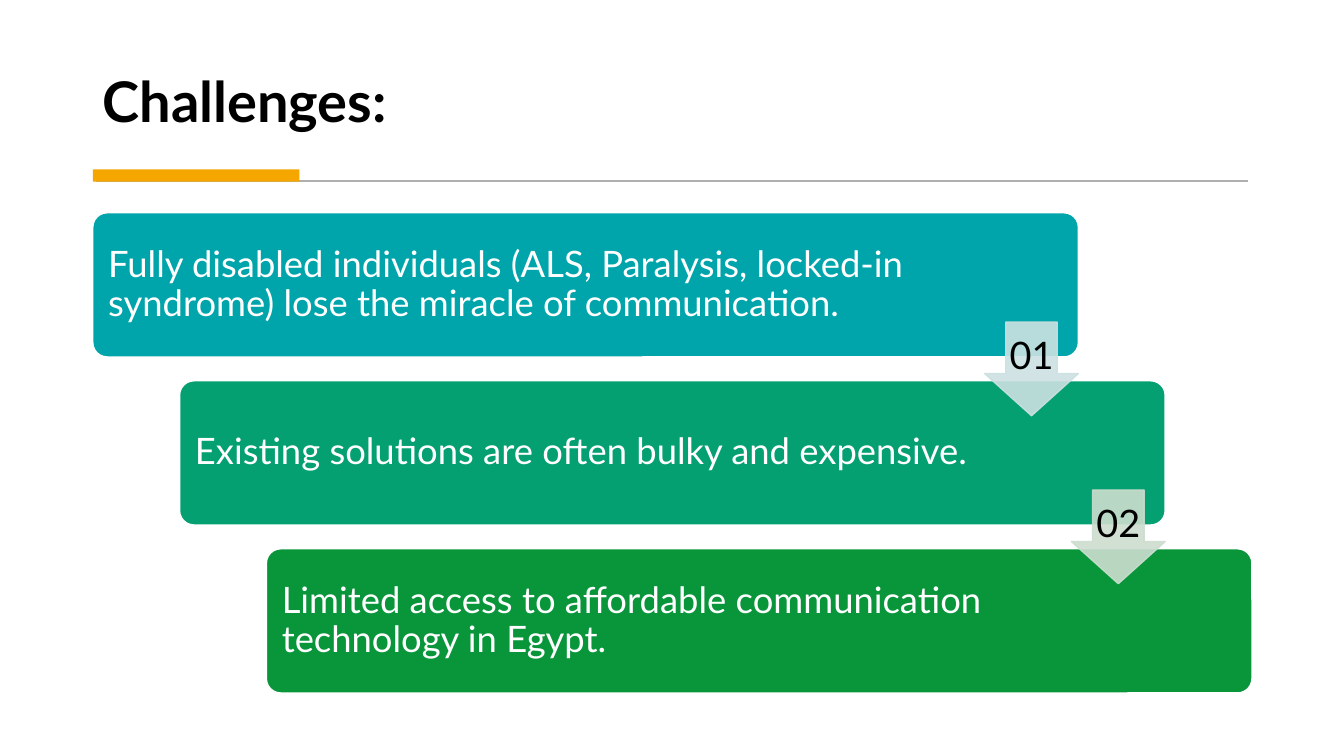
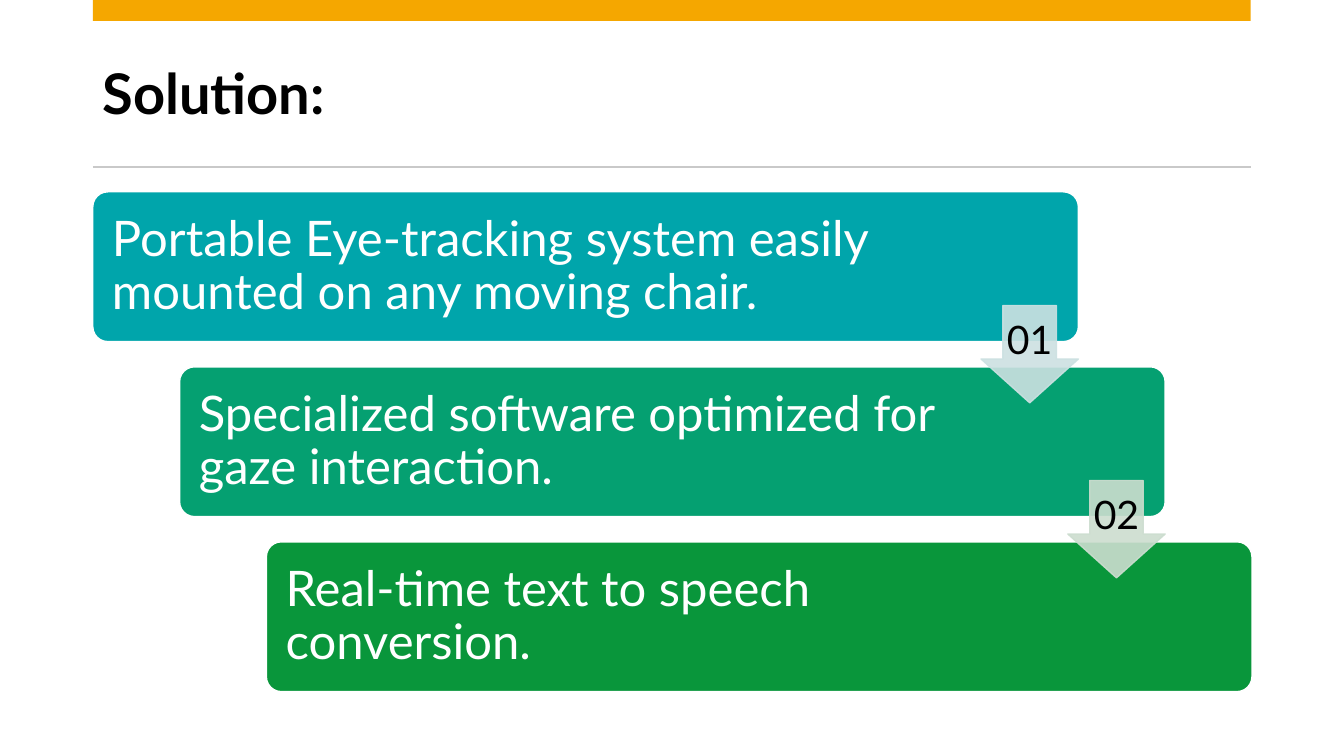
import pptx
import pptx.util
import pptx.dml.color
import pptx.enum.shapes
import pptx.enum.text
import pptx.oxml.ns
import lxml.etree

Pt = pptx.util.Pt
Kind = pptx.enum.shapes.MSO_SHAPE
Align = pptx.enum.text.PP_ALIGN
Anchor = pptx.enum.text.MSO_ANCHOR
qn = pptx.oxml.ns.qn


class Theme:
    font = "Lato"
    black = "000000"
    white = "FFFFFF"
    accent = "F5A700"
    cards = ("00A5AB", "05A071", "09963B")
    arrows = ("CCE1E2", "CCDDCF")
    title_size = 40
    left = 66.3
    width = 827
    card_width = 704
    step = 62


def write(frame, text, size=26, color=Theme.white, bold=False,
          align=Align.LEFT, anchor=Anchor.MIDDLE, insets=(7.2, 3.6, 7.2, 3.6)):
    frame.word_wrap = True
    frame.vertical_anchor = anchor
    (frame.margin_left, frame.margin_top,
     frame.margin_right, frame.margin_bottom) = map(Pt, insets)
    para = frame.paragraphs[0]
    para.alignment = align
    para.line_spacing = 0.9
    run = para.add_run()
    run.text = text
    run.font.name = Theme.font
    run.font.size = Pt(size)
    run.font.bold = bold
    run.font.color.rgb = pptx.dml.color.RGBColor.from_string(color)


def draw(slide, kind, box, fill, line=None, adjust=(), alpha=None):
    shape = slide.shapes.add_shape(kind, *map(Pt, box))
    shape.shadow.inherit = False
    shape.fill.solid()
    shape.fill.fore_color.rgb = pptx.dml.color.RGBColor.from_string(fill)
    if line:
        shape.line.color.rgb = pptx.dml.color.RGBColor.from_string(line)
        shape.line.width = Pt(1)
    else:
        shape.line.fill.background()
    for index, value in enumerate(adjust):
        shape.adjustments[index] = value
    if alpha:
        for tint in shape.element.spPr.iter(qn("a:srgbClr")):
            lxml.etree.SubElement(tint, qn("a:alpha"), val=str(alpha * 1000))
    return shape


pages = [
    dict(
        title="Challenges:", title_top=20, title_height=80, anchor=Anchor.BOTTOM,
        bar=(Theme.left, 121, 147.6, 8.8),
        rule=(68.4, 891.4, 129.2), rule_color="AFAFAF", rule_width=1.25,
        top=152, height=103, pitch=120, size=26, number_size=27,
        inset=8, margins=(114, 137, 137),
        texts=(
            "Fully disabled individuals (ALS, Paralysis, locked-in syndrome) "
            "lose the miracle of communication.",
            "Existing solutions are often bulky and expensive.",
            "Limited access to affordable communication technology in Egypt.",
        ),
    ),
    dict(
        title="Solution:", title_top=26.6, title_height=85, anchor=Anchor.MIDDLE,
        bar=(Theme.left, 0, Theme.width, 15),
        rule=(Theme.left, Theme.left + Theme.width, 119.6),
        rule_color="C9C9C9", rule_width=1.5,
        top=137, height=107, pitch=125, size=35, number_size=28,
        inset=10.6, margins=(121, 143, 143),
        texts=(
            "Portable Eye-tracking system easily mounted on any moving chair.",
            "Specialized software optimized for gaze interaction.",
            "Real-time text to speech conversion.",
        ),
    ),
]

deck = pptx.Presentation()
deck.slide_width, deck.slide_height = Pt(960), Pt(540)

for page in pages:
    slide = deck.slides.add_slide(deck.slide_layouts[6])

    title = slide.shapes.add_textbox(
        Pt(Theme.left), Pt(page["title_top"]), Pt(Theme.width), Pt(page["title_height"]))
    write(title.text_frame, page["title"], size=Theme.title_size,
          color=Theme.black, bold=True, anchor=page["anchor"])

    start, end, level = map(Pt, page["rule"])
    rule = slide.shapes.add_connector(
        pptx.enum.shapes.MSO_CONNECTOR.STRAIGHT, start, level, end, level)
    rule.line.color.rgb = pptx.dml.color.RGBColor.from_string(page["rule_color"])
    rule.line.width = Pt(page["rule_width"])
    lxml.etree.SubElement(rule.element.spPr, qn("a:effectLst"))
    draw(slide, Kind.RECTANGLE, page["bar"], Theme.accent)

    height = page["height"]
    for index, text in enumerate(page["texts"]):
        box = (Theme.left + index * Theme.step, page["top"] + index * page["pitch"],
               Theme.card_width, height)
        card = draw(slide, Kind.ROUNDED_RECTANGLE, box, Theme.cards[index],
                    line=Theme.white, adjust=(0.1,))
        write(card.text_frame, text, size=page["size"],
              insets=(page["inset"], 0, page["margins"][index], 0))

    side = 0.65 * height
    for index, color in enumerate(Theme.arrows):
        right = Theme.left + index * Theme.step + Theme.card_width
        middle = page["top"] + index * page["pitch"] + (height + page["pitch"]) / 2
        box = (right - side, middle - side / 2, side, side)
        arrow = draw(slide, Kind.DOWN_ARROW, box, color, line=color,
                     adjust=(0.55, 0.45), alpha=90)
        write(arrow.text_frame, f"{index + 1:02}", size=page["number_size"],
              color=Theme.black, align=Align.CENTER, insets=(0, 0, 0, 0))

deck.save("out.pptx")
